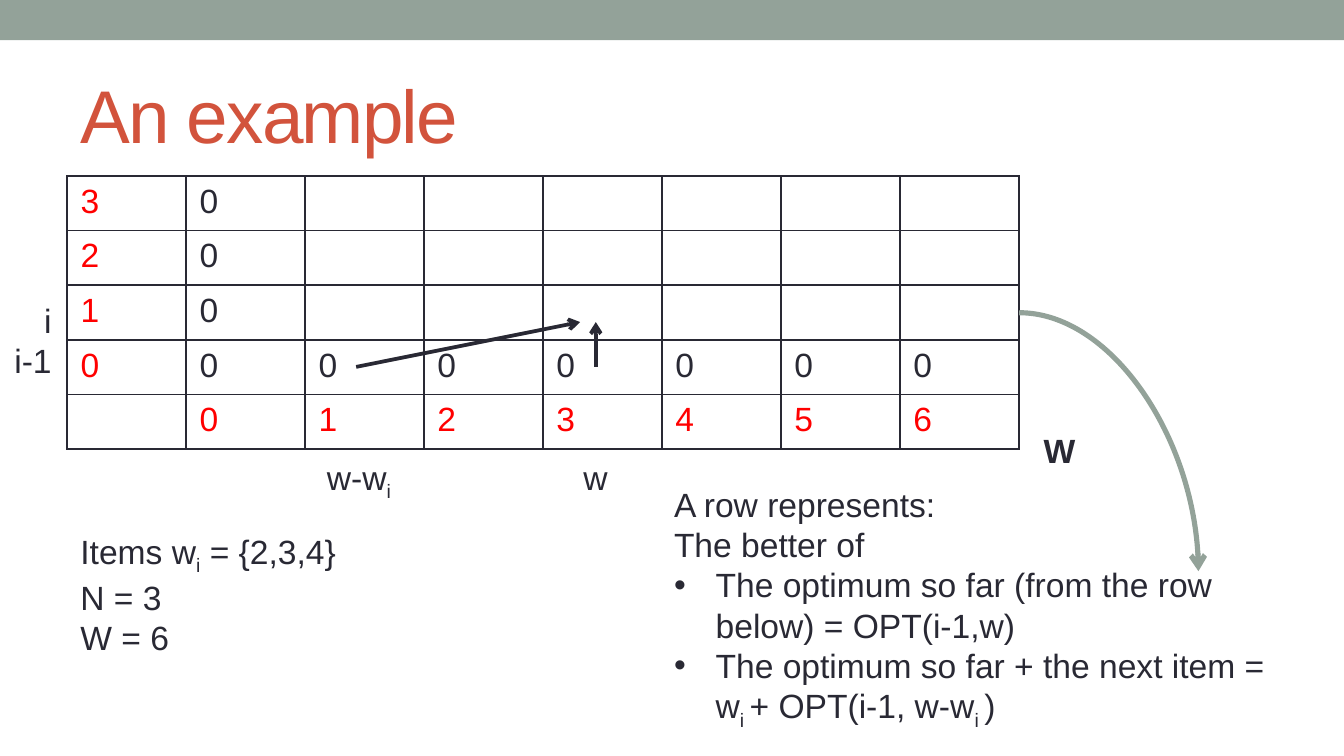
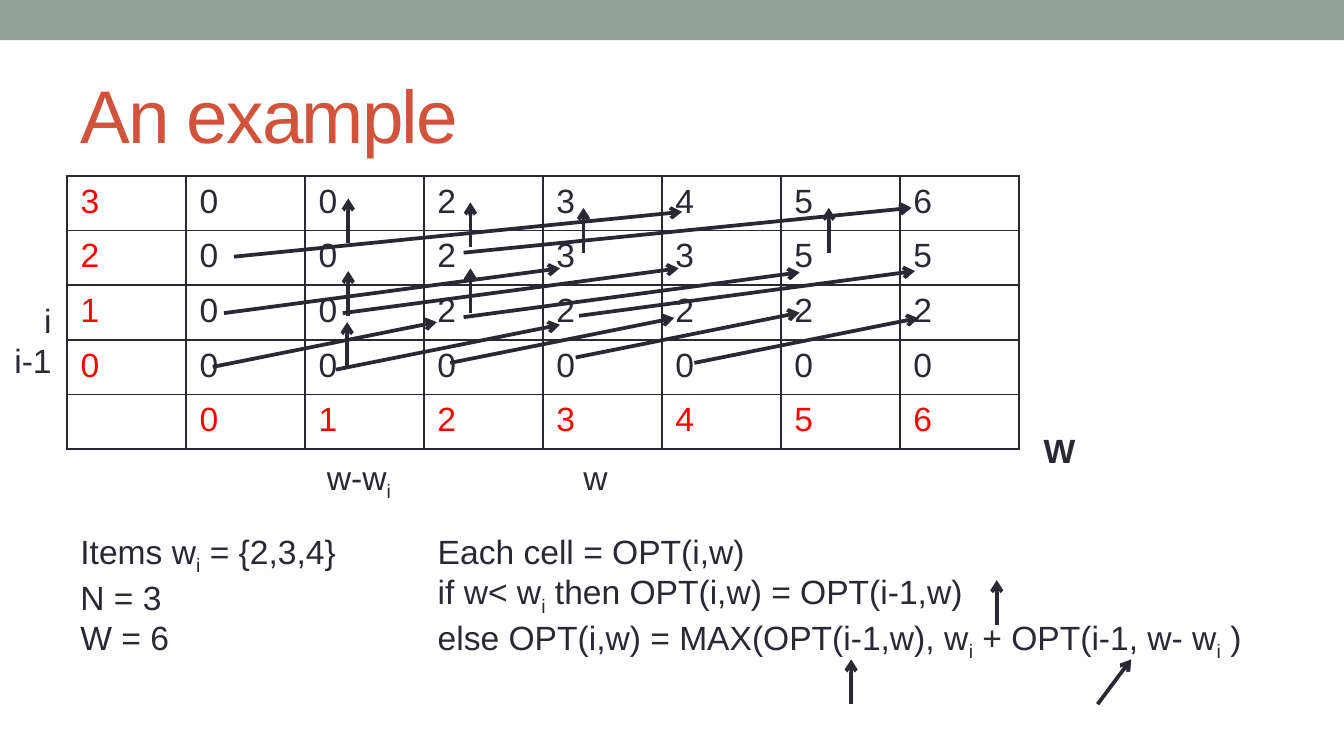
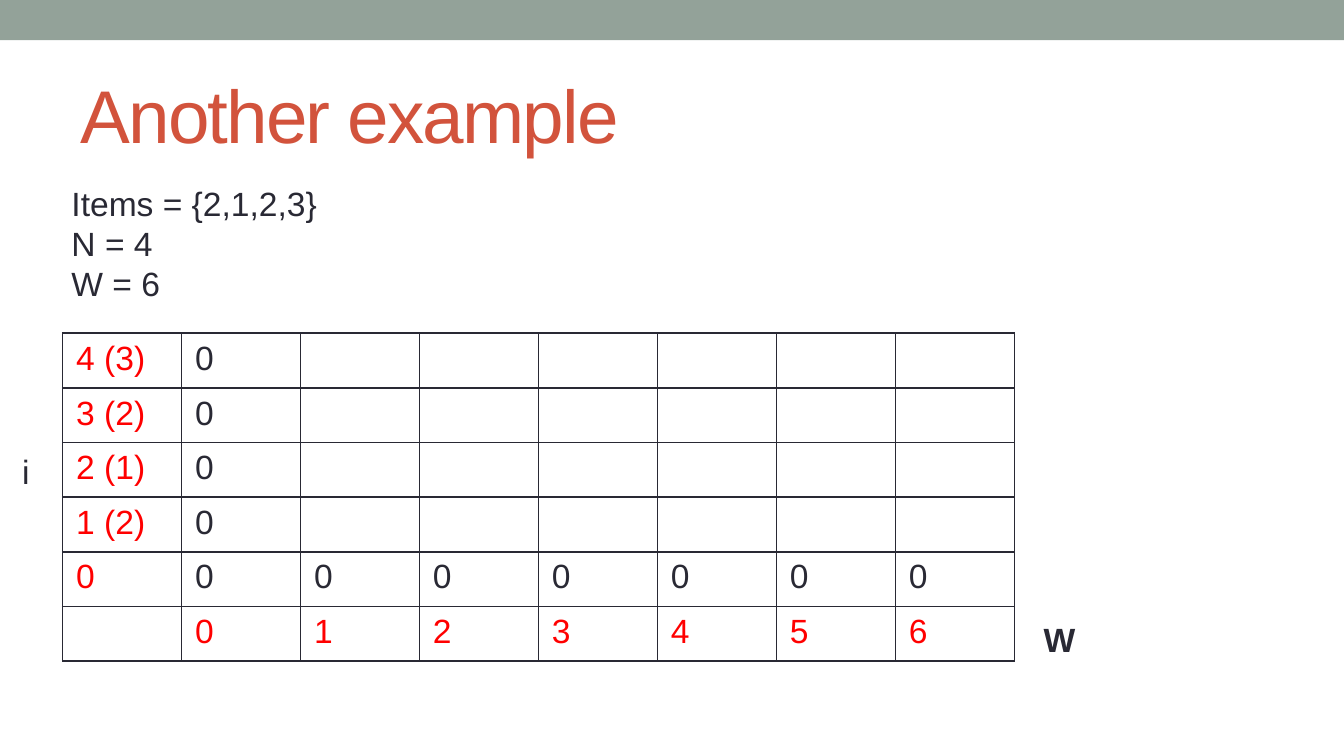
from lxml.etree import SubElement
from pptx import Presentation
from pptx.dml.color import RGBColor
from pptx.enum.shapes import MSO_CONNECTOR as Link, MSO_SHAPE as Preset
from pptx.enum.text import MSO_ANCHOR as Anchor, MSO_AUTO_SIZE as Fit, PP_ALIGN as Align
from pptx.oxml.ns import qn
from pptx.util import Inches, Pt

rgb = RGBColor.from_string
SAGE, RUST, INK, RED = "93A299", "D2533C", "292934", "FF0000"
FONT = "Arial"
WIDTH, HEIGHT = Inches(10), Inches(5.625)
COLUMN, ROW = WIDTH / 12, Inches(1) / 3
CELL_WIDTH, CELL_HEIGHT = int(8.5 * COLUMN / 8), int(1.22 * ROW)


def write(page, place, lines, bold=None, align=None):
    left, top, width, height = place
    box = page.shapes.add_textbox(int(left * COLUMN), int(top * ROW),
                                  int(width * COLUMN), int(height * ROW))
    frame = box.text_frame
    frame.word_wrap = width > 1
    frame.auto_size = Fit.SHAPE_TO_FIT_TEXT
    for number, line in enumerate(lines):
        para = frame.add_paragraph() if number else frame.paragraphs[0]
        if line.startswith("• "):
            line = line[2:]
            properties = para._p.get_or_add_pPr()
            properties.set("marL", str(Inches(0.31)))
            properties.set("indent", str(-Inches(0.31)))
            SubElement(properties, qn("a:buFont")).set("typeface", FONT)
            SubElement(properties, qn("a:buChar")).set("char", "•")
        para.alignment = align
        para.font.name, para.font.size, para.font.bold = FONT, Pt(18), bold
        para.font.color.rgb = rgb(INK)
        for position, part in enumerate(line.split("~")):
            span = para.add_run()
            span.text = part
            if position % 2:
                span.font._element.set("baseline", "-25000")


def draw_arrow(page, start, end, color=INK, weight=2, kind=Link.STRAIGHT):
    arrow = page.shapes.add_connector(kind, int(start[0] * COLUMN), int(start[1] * ROW),
                                      int(end[0] * COLUMN), int(end[1] * ROW))
    arrow.line.color.rgb = rgb(color)
    arrow.line.width = Pt(weight)
    SubElement(arrow.line._get_or_add_ln(), qn("a:tailEnd")).set("type", "arrow")
    SubElement(arrow.element.spPr, qn("a:effectLst"))
    return arrow


deck = Presentation()
deck.slide_width, deck.slide_height = WIDTH, HEIGHT
layout = deck.slide_layouts[5]

empty_rows = ["0"] * 3
solved_rows = ["0023456", "0023355", "0022222"]
item_labels = ["3", "2", "1"]
weighted_labels = ["4 (3)", "3 (2)", "2 (1)", "1 (2)"]
grids = [
    ("An example", 0.6, 3.93, item_labels, empty_rows),
    ("An example", 0.6, 3.93, item_labels, solved_rows),
    ("Another example", 0.56, 7.44, weighted_labels, ["0"] * 4),
]
pages = []
for title, left, top, labels, values in grids:
    page = deck.slides.add_slide(layout)
    pages.append(page)
    heading = page.shapes.title
    heading.left, heading.top = int(0.6 * COLUMN), int(1.32 * ROW)
    heading.width, heading.height = int(10.8 * COLUMN), int(2.43 * ROW)
    frame = heading.text_frame
    frame.text = title
    frame.auto_size = Fit.NONE
    frame.vertical_anchor = Anchor.MIDDLE
    para = frame.paragraphs[0]
    para.alignment = Align.LEFT
    para.font.name, para.font.size = FONT, Pt(40)
    para.font.color.rgb = rgb(RUST)
    para.runs[0].font._element.set("spc", "-100")

    labels = labels + ["0", ""]
    values = values + ["0000000", "0123456"]
    table = page.shapes.add_table(len(labels), 8, int(left * COLUMN), int(top * ROW),
                                  CELL_WIDTH * 8, CELL_HEIGHT * len(labels)).table
    table.first_row = table.horz_banding = False
    for row, (label, digits) in enumerate(zip(labels, values)):
        table.rows[row].height = CELL_HEIGHT
        for column, text in enumerate([label, *digits.ljust(7)]):
            cell = table.cell(row, column)
            cell.text = text.strip()
            font = cell.text_frame.paragraphs[0].font
            font.name, font.size = FONT, Pt(18)
            header = column == 0 or row == len(labels) - 1
            font.color.rgb = rgb(RED if header else INK)
            for side in ("lnL", "lnR", "lnT", "lnB"):
                border = SubElement(cell._tc.get_or_add_tcPr(), qn("a:" + side), w=str(Pt(1)))
                fill = SubElement(border, qn("a:solidFill"))
                SubElement(fill, qn("a:srgbClr")).set("val", INK)
            cell.fill.background()

band = pages[0].shapes.add_shape(Preset.RECTANGLE, 0, 0, WIDTH, int(0.9 * ROW))
band.shadow.inherit = False
band.fill.solid()
band.fill.fore_color.rgb = rgb(SAGE)
band.line.fill.background()
deck.slide_master.shapes.element.insert(2, band.element)

first, second, third = pages
for page in (first, second):
    write(page, (0.6, 11.7, 3.2, 3.03), ["Items w~i~ = {2,3,4}", "N = 3", "W = 6"])
    write(page, (0, 6.54, 0.58, 2.13), ["i", "i-1"], align=Align.RIGHT)
    write(page, (9.2, 9.45, 0.53, 1.2), ["W"], bold=True)
    write(page, (5.09, 10.05, 0.46, 1.2), ["w"])
    write(page, (2.8, 10.05, 0.85, 1.2), ["w-w~i"])

curve = draw_arrow(first, (9.1, 6.98), (10.7, 12.75), SAGE, 2.75, Link.CURVE)
curve.element.spPr.find(qn("a:prstGeom")).set("prst", "curvedConnector2")
write(first, (5.9, 10.65, 5.8, 7.56), [
    "A row represents:",
    "The better of",
    "• The optimum so far (from the row below) = OPT(i-1,w)",
    "• The optimum so far + the next item = w~i ~+ OPT(i-1, w-w~i ~)",
])

write(second, (3.79, 11.7, 8, 3.93), [
    "Each cell = OPT(i,w)",
    "if w< w~i~ then OPT(i,w) = OPT(i-1,w)",
    "else OPT(i,w) = MAX(OPT(i-1,w), w~i~ + OPT(i-1, w- w~i~ )",
])

write(third, (0.52, 3.93, 3.2, 3.03), ["Items = {2,1,2,3}", "N = 4", "W = 6"])
write(third, (9.2, 13.68, 0.53, 1.2), ["W"], bold=True)
write(third, (0.08, 9.93, 0.41, 1.2), ["i"])

arrow_starts = [
    (first, 0, [(5.32, 8.19)]),
    (first, 2, [(3.18, 8.19)]),
    (second, 2, [(3, 8.25), (1.9, 8.19), (4.02, 8.1), (5.14, 7.98), (6.2, 8.1)]),
    (second, 3, [(2, 6.99), (3.06, 6.99), (4.14, 7.08), (5.17, 7.05)]),
    (second, 4, [(2.09, 5.73), (4.14, 5.64)]),
    (second, 0, [(3.1, 8.19), (3.11, 7.05), (4.2, 6.99), (3.11, 5.43), (4.2, 5.52),
                 (5.21, 5.64), (7.4, 5.64), (7.6, 15.72), (8.9, 13.95)]),
    (second, 0.3, [(9.8, 15.72)]),
]
for page, reach, starts in arrow_starts:
    for x, y in starts:
        draw_arrow(page, (x, y), (x + reach, y - 1))

deck.save("out.pptx")
